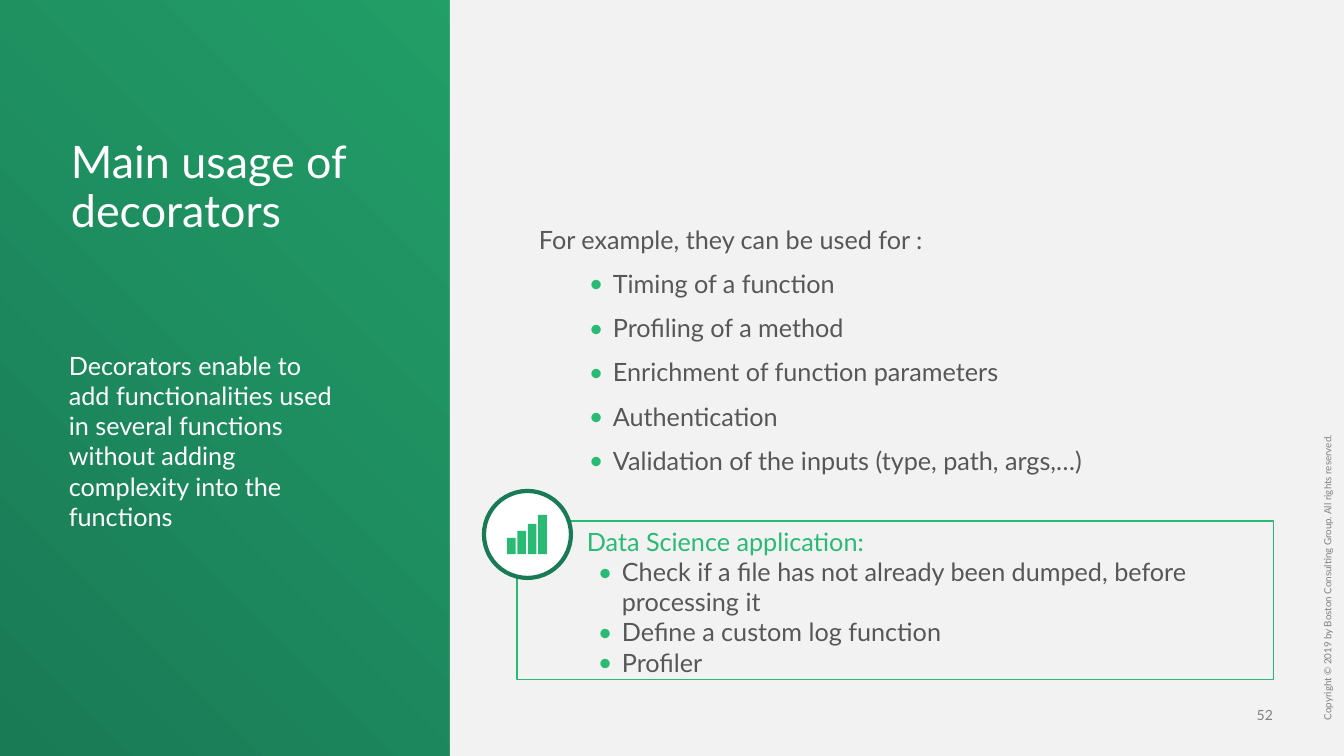
from lxml import etree
from pptx import Presentation
from pptx.dml.color import RGBColor
from pptx.enum.shapes import MSO_SHAPE
from pptx.enum.text import MSO_ANCHOR, MSO_AUTO_SIZE, PP_ALIGN
from pptx.oxml.ns import qn
from pptx.util import Pt

RECT, OVAL = MSO_SHAPE.RECTANGLE, MSO_SHAPE.OVAL
TOP, MIDDLE, BOTTOM = MSO_ANCHOR.TOP, MSO_ANCHOR.MIDDLE, MSO_ANCHOR.BOTTOM
LEFT, RIGHT = PP_ALIGN.LEFT, PP_ALIGN.RIGHT
NONE = MSO_AUTO_SIZE.NONE
PX = 914400 / 100.8
FONT = "Lato"
HEX = {"green": "29BA74", "dark": "197A56", "pale": "F2F2F2",
       "white": "FFFFFF", "text": "575757", "gray": "808080"}

TITLE = "Main usage of decorators"
INTRO = ("Decorators enable to add functionalities used in several functions "
         "without adding complexity into the functions")
USES = ["Timing of a function", "Profiling of a method",
        "Enrichment of function parameters", "Authentication",
        "Validation of the inputs (type, path, args,…)"]
TASKS = ["Check if a file has not already been dumped, before processing it",
         "Define a custom log function", "Profiler"]
RIGHTS = "Copyright © 2019 by Boston Consulting Group. All rights reserved."

BODY = {"size": 18, "color": "text"}
LEAD = {**BODY, "indent": 12, "after": 10}
USE = {**BODY, "indent": 86, "hang": 24, "after": 10}
TASK = {**BODY, "indent": 35, "hang": 24}
HEAD = {"size": 18, "color": "green"}
SIDE = {"size": 18, "color": "white", "indent": 12}
NAME = {"size": 32, "color": "white", "spacing": 0.9}
NOTE = {"size": 7, "color": "gray", "spacing": 0.9}
PAGE = {"size": 10, "color": "gray", "align": RIGHT}

TEXTS = [
    ((1046, 432, 565, 11), {"inset": 0, "turn": 270}, [(RIGHTS, NOTE)]),
    ((1231, 706, 42, 17), {"inset": 0, "anchor": BOTTOM}, [("52", PAGE)]),
    ((517, 219, 755, 242), {},
     [("For example, they can be used for :", LEAD)] + [(use, USE) for use in USES]),
    ((47, 345, 307, 194), {}, [(INTRO, SIDE)]),
    ((577, 521, 672, 163), {},
     [("Data Science application:", HEAD)] + [(task, TASK) for task in TASKS]),
]
SHAPES = [
    (RECT, (450, 0, 894, 756), "pale", None, 0),
    (RECT, (517, 521, 757, 159), None, "green", 0.75),
    (OVAL, (484, 491, 87, 87), "white", "dark", 3),
]
BARS = {"left": 507, "base": 554, "pitch": 10.4, "wide": 8.6, "tall": [16, 23, 30, 39]}


def emu(n):
    return round(n * PX)


def rgb(name):
    return RGBColor.from_string(HEX[name])


def bullet(para):
    props = para._p.get_or_add_pPr()
    tint = etree.SubElement(props, qn("a:buClr"))
    etree.SubElement(tint, qn("a:srgbClr"), val=HEX["green"])
    etree.SubElement(props, qn("a:buFont"), typeface=FONT)
    etree.SubElement(props, qn("a:buChar"), char="•")


def write(box, rows, inset=None, anchor=TOP, turn=0):
    frame = box.text_frame
    form = {"word_wrap": True, "auto_size": NONE, "vertical_anchor": anchor}
    if inset is not None:
        form.update({f"margin_{side}": inset for side in ("left", "top", "right", "bottom")})
    for key, val in form.items():
        setattr(frame, key, val)
    box.rotation = turn
    for i, (text, style) in enumerate(rows):
        para = frame.add_paragraph() if i else frame.paragraphs[0]
        hang = style.get("hang", 0)
        if hang:
            bullet(para)
        props = para._p.get_or_add_pPr()
        props.set("marL", str(emu(style.get("indent", 0))))
        props.set("indent", str(-emu(hang)))
        look = {"alignment": style.get("align", LEFT), "space_before": Pt(0),
                "space_after": Pt(style.get("after", 0)),
                "line_spacing": style.get("spacing", 1.0)}
        for key, val in look.items():
            setattr(para, key, val)
        run = para.add_run()
        run.text = text
        for key, val in {"name": FONT, "size": Pt(style["size"])}.items():
            setattr(run.font, key, val)
        run.font.color.rgb = rgb(style["color"])


def paint(shape, fill, line, width):
    shape.shadow.inherit = False
    if fill:
        shape.fill.solid()
        shape.fill.fore_color.rgb = rgb(fill)
    else:
        shape.fill.background()
    if line:
        shape.line.color.rgb = rgb(line)
        shape.line.width = Pt(width)
    else:
        shape.line.fill.background()


def icon(slide):
    base, pen = BARS["base"], None
    for i, tall in enumerate(BARS["tall"]):
        x = BARS["left"] + i * BARS["pitch"]
        end, top = x + BARS["wide"], base - tall
        start = emu(x), emu(base)
        if pen is None:
            pen = slide.shapes.build_freeform(*start)
        else:
            pen.move_to(*start)
        dots = [(x, top), (end, top), (end, base)]
        pen.add_line_segments([(emu(a), emu(b)) for a, b in dots], close=True)
    paint(pen.convert_to_shape(), "green", None, 0)


def main():
    deck = Presentation()
    deck.slide_width, deck.slide_height = emu(1344), emu(756)
    slide = deck.slides.add_slide(deck.slide_layouts[5])
    back = slide.background.fill
    back.gradient()
    back.gradient_angle = 225
    for stop, name in zip(back.gradient_stops, ("green", "dark")):
        stop.color.rgb = rgb(name)

    title = slide.shapes.title
    place = zip(("left", "top", "width", "height"), (71, 106, 345, 165))
    for key, val in place:
        setattr(title, key, emu(val))
    write(title, [(TITLE, NAME)], inset=0, anchor=MIDDLE)

    for kind, area, fill, line, width in SHAPES:
        shape = slide.shapes.add_shape(kind, *map(emu, area))
        paint(shape, fill, line, width)
    icon(slide)
    for area, form, rows in TEXTS:
        write(slide.shapes.add_textbox(*map(emu, area)), rows, **form)
    deck.save("out.pptx")


if __name__ == "__main__":
    main()
